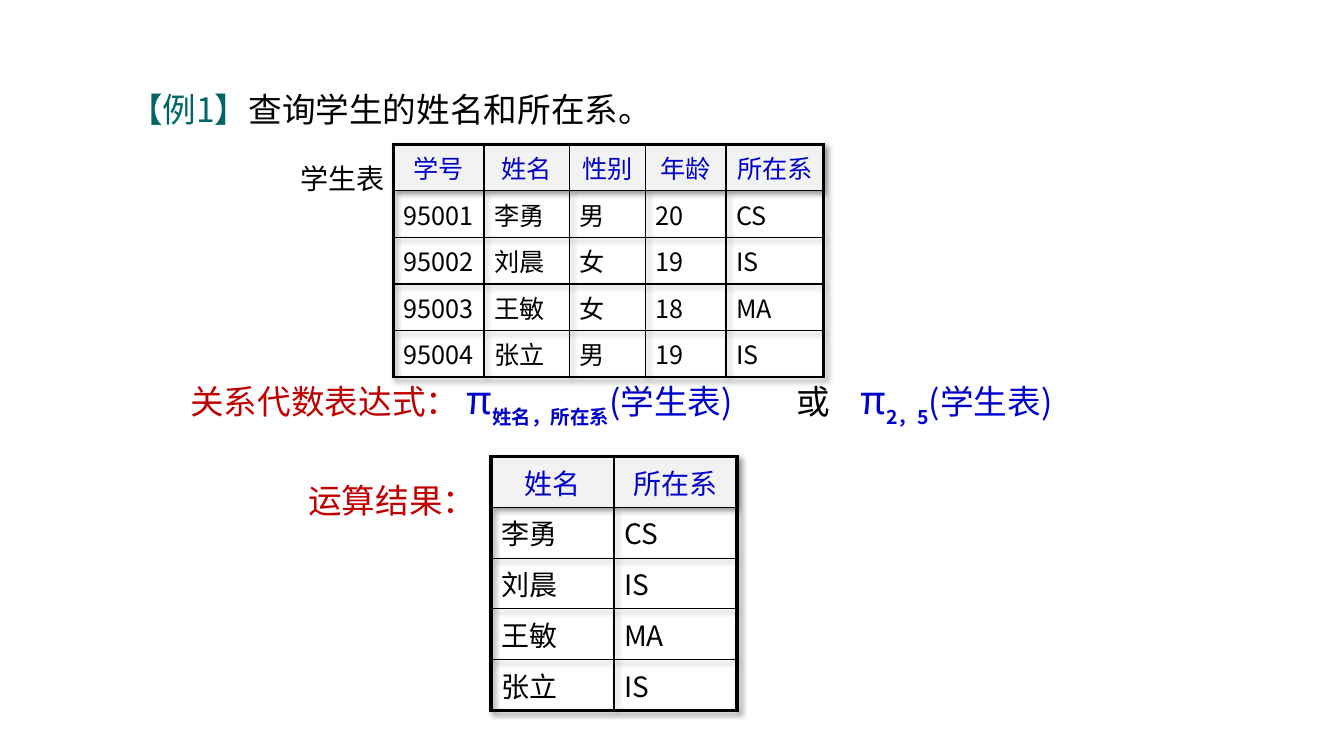
from dataclasses import dataclass

from lxml import etree
from pptx import Presentation
from pptx.dml.color import RGBColor
from pptx.enum.text import MSO_ANCHOR, MSO_AUTO_SIZE, PP_ALIGN
from pptx.oxml import parse_xml
from pptx.oxml.ns import nsdecls, qn
from pptx.util import Emu, Pt

CENTER, LEFT = PP_ALIGN.CENTER, PP_ALIGN.LEFT
TOP, MIDDLE = MSO_ANCHOR.TOP, MSO_ANCHOR.MIDDLE
TITLE_ONLY = 5
PX = 9144  # 100 px to the inch


@dataclass(frozen=True)
class Theme:
    font: str = "Noto Sans CJK SC"
    ink: str = "000000"
    teal: str = "006666"
    red: str = "C00000"
    blue: str = "0000CC"
    header_fill: str = "F2F2F2"
    large: int = 24
    pi: int = 28
    label: int = 20
    small: int = 18
    inner_line: float = 1
    line_spacing: float = 1.1


THEME = Theme()

# Runs: text, colour, size, subscript
HEADING = [("【例1】", THEME.teal, THEME.large, False),
           ("查询学生的姓名和所在系。", THEME.ink, THEME.large, False)]
FORMULA = [("关系代数表达式： ", THEME.red, THEME.large, False),
           ("π", THEME.blue, THEME.pi, False),
           ("姓名，所在系", THEME.blue, THEME.large, True),
           ("(学生表)\t", THEME.blue, THEME.large, False),
           ("或\t", THEME.ink, THEME.large, False),
           ("π", THEME.blue, THEME.pi, False),
           ("2，5", THEME.blue, THEME.large, True),
           ("(学生表)", THEME.blue, THEME.large, False)]
FORMULA_TABS = (601, 665)
STUDENT_LABEL = [("学生表", THEME.ink, THEME.label, False)]
RESULT_LABEL = [("运算结果：", THEME.red, THEME.large, False)]

STUDENTS = [("学号", "姓名", "性别", "年龄", "所在系"),
            ("95001", "李勇", "男", "20", "CS"),
            ("95002", "刘晨", "女", "19", "IS"),
            ("95003", "王敏", "女", "18", "MA"),
            ("95004", "张立", "男", "19", "IS")]
RESULT = [(name, department) for _, name, _, _, department in STUDENTS]


def px(*lengths):
    return [Emu(length * PX) for length in lengths]


def style_run(run, color, size, subscript=False):
    font = run.font
    font.name, font.size, font.bold = THEME.font, Pt(size), subscript
    font.color.rgb = RGBColor.from_string(color)
    properties = run._r.get_or_add_rPr()
    etree.SubElement(properties, qn("a:ea")).set("typeface", THEME.font)
    if subscript:
        properties.set("baseline", "-30000")


def write_line(shape, box, runs, align=LEFT, anchor=TOP, wrap=True, spacing=None, tabs=()):
    shape.left, shape.top, shape.width, shape.height = px(*box)
    frame = shape.text_frame
    frame.word_wrap, frame.vertical_anchor = wrap, anchor
    frame.auto_size = MSO_AUTO_SIZE.NONE
    line = frame.paragraphs[0]
    line.alignment, line.line_spacing = align, spacing
    if tabs:
        tab_list = etree.SubElement(line._p.get_or_add_pPr(), qn("a:tabLst"))
        for position in tabs:
            etree.SubElement(tab_list, qn("a:tab"), pos=str(position * PX), algn="l")
    for text, color, size, subscript in runs:
        run = line.add_run()
        run.text = text
        style_run(run, color, size, subscript)


def draw_borders(cell, weights):
    """Draw the left, right, top and bottom borders, given in points."""
    properties = cell._tc.get_or_add_tcPr()
    for side, weight in zip("LRTB", weights):
        properties.append(parse_xml(
            f'<a:ln{side} {nsdecls("a")} w="{Pt(weight)}"><a:solidFill>'
            f'<a:srgbClr val="{THEME.ink}"/></a:solidFill></a:ln{side}>'))


def add_shadow(table):
    table._tbl.tblPr.insert(0, parse_xml(
        f'<a:effectLst {nsdecls("a")}><a:outerShdw blurRad="50800" dist="38100" '
        'dir="2700000" algn="tl" rotWithShape="0"><a:srgbClr val="000000">'
        '<a:alpha val="40000"/></a:srgbClr></a:outerShdw></a:effectLst>'))


def add_relation(slide, left, top, widths, row_height, rows, size, outer_line, centered=()):
    """Add a table with a heavy frame, a grey header and the given centred columns."""
    last_row, last_column = len(rows) - 1, len(widths) - 1
    frame = slide.shapes.add_table(len(rows), len(widths),
                                   *px(left, top, sum(widths), row_height * len(rows)))
    table = frame.table
    add_shadow(table)
    for column, width in zip(table.columns, px(*widths)):
        column.width = width
    for r, values in enumerate(rows):
        for c, value in enumerate(values):
            cell = table.cell(r, c)
            edges = (c == 0, c == last_column, r == 0, r == last_row)
            draw_borders(cell, [outer_line if edge else THEME.inner_line for edge in edges])
            if r == 0:
                cell.fill.solid()
                cell.fill.fore_color.rgb = RGBColor.from_string(THEME.header_fill)
            else:
                cell.fill.background()
            cell.text_frame.text = value
            line = cell.text_frame.paragraphs[0]
            line.alignment = CENTER if r == 0 or c in centered else LEFT
            style_run(line.runs[0], THEME.ink if r else THEME.blue, size)


def main():
    deck = Presentation()
    deck.slide_width, deck.slide_height = px(1333, 750)
    slide = deck.slides.add_slide(deck.slide_layouts[TITLE_ONLY])

    def text_box():
        return slide.shapes.add_textbox(0, 0, 0, 0)

    write_line(slide.shapes.title, (118, 79, 1215, 49), HEADING, spacing=THEME.line_spacing)
    add_relation(slide, 487, 453, (122, 122), 43, RESULT, THEME.label, 3)
    write_line(text_box(), (267, 471, 244, 91), RESULT_LABEL, CENTER)
    add_relation(slide, 390, 143, (90, 85, 75, 80, 97), 40, STUDENTS, THEME.small, 2.25, (0,))
    write_line(text_box(), (290, 143, 100, 67), STUDENT_LABEL, CENTER, MIDDLE, wrap=False)
    write_line(text_box(), (179, 362, 974, 56), FORMULA,
               spacing=THEME.line_spacing, tabs=FORMULA_TABS)
    deck.save("out.pptx")


if __name__ == "__main__":
    main()
